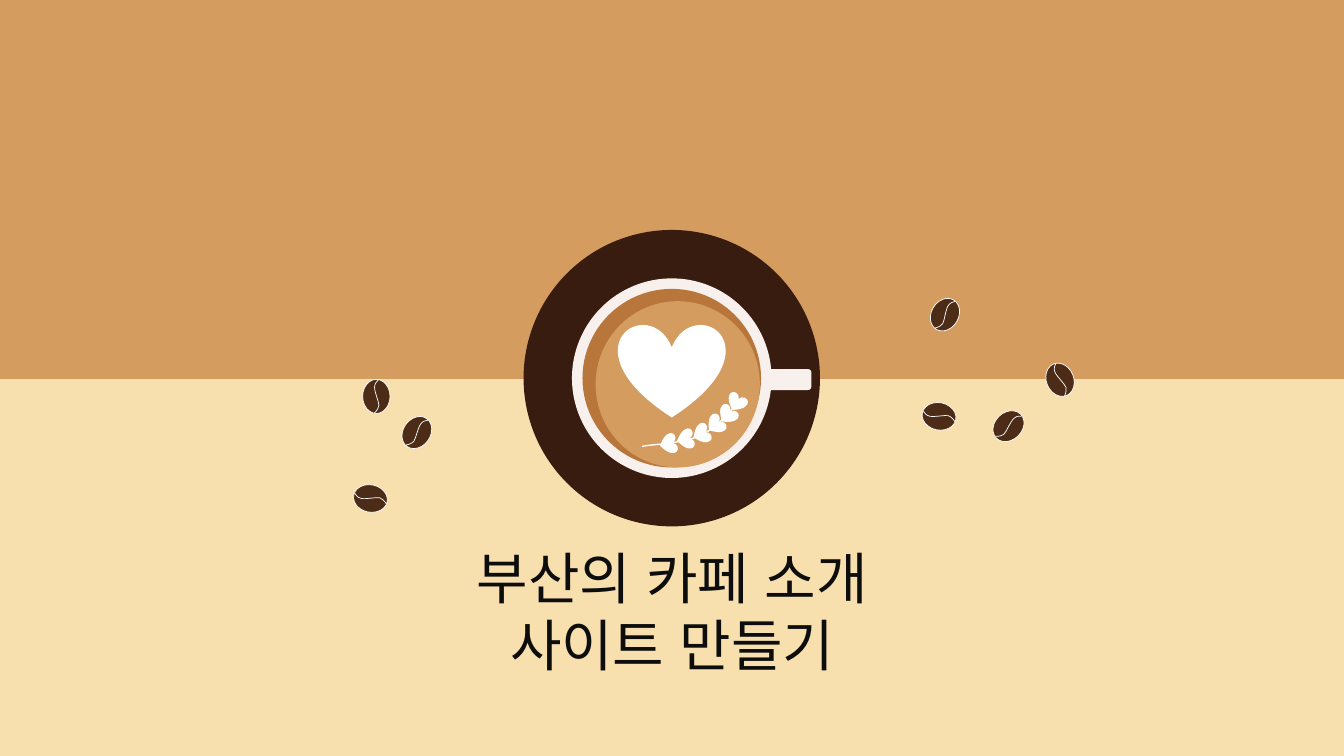
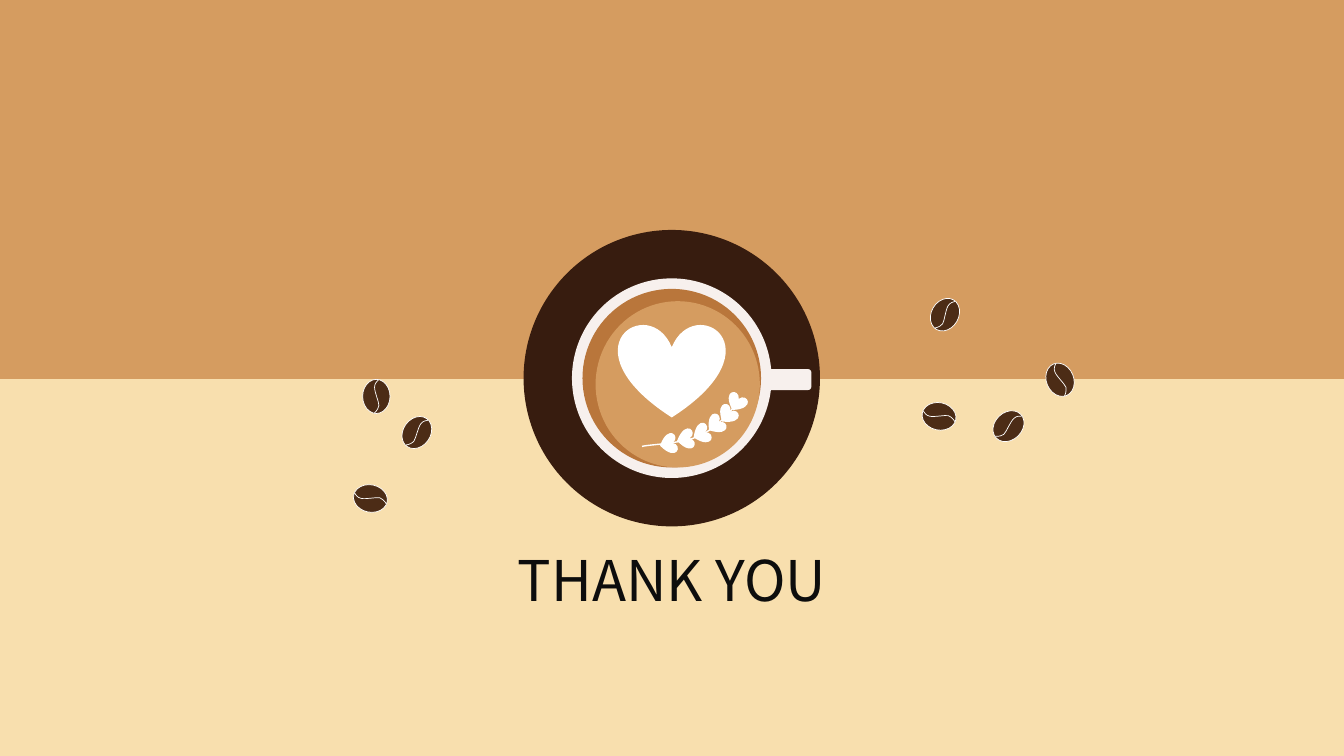
from typing import NamedTuple

from lxml import etree
from pptx import Presentation
from pptx import util as u
from pptx.dml.color import RGBColor
from pptx.enum import shapes, text
from pptx.oxml.ns import qn

# Colours
CREAM, CARAMEL, SAUCER, PORCELAIN = "F8DFAE", "D59C60", "371C0F", "F7F0ED"
CREMA, ROAST, WHITE, INK = "B9763B", "4C2C16", "FFFFFF", "0D0D0D"

PAGE_W, PAGE_H, TABLE_EDGE = 33.87, 19.05, 9.55
CUP_X, CUP_Y = 16.93, 9.53

Point = tuple[float, float]


class Box(NamedTuple):
    """Left, top, width and height in centimetres."""
    left: float
    top: float
    width: float
    height: float


class Placed(NamedTuple):
    """Left and top in centimetres, and clockwise turn in degrees."""
    left: float
    top: float
    turn: float


class Title(NamedTuple):
    lines: list[str]
    box: Box
    font: str


BEAN_W, BEAN_H = 0.69, 0.86
BEANS = [
    Placed(9.14, 9.56, 0),
    Placed(10.16, 10.47, 35.1),
    Placed(8.99, 12.13, 281.8),
    Placed(23.47, 7.5, 30.2),
    Placed(26.37, 9.14, 337.6),
    Placed(23.32, 10.06, 281.8),
    Placed(25.07, 10.31, 45.7),
]
# Bezier control points, relative to the top left of a bean
CREASE = [(0.41, 0), (0.36, 0.05), (0.3, 0.1), (0.3, 0.2), (0.3, 0.33),
          (0.41, 0.56), (0.41, 0.66), (0.38, 0.79), (0.3, 0.84), (0.28, 0.86)]

LEAF_W, LEAF_H = 0.51, 0.43
LEAVES = [
    Placed(18.08, 10.24, 39.2),
    Placed(17.78, 10.49, 50.6),
    Placed(17.42, 10.72, 65.8),
    Placed(17.02, 10.85, 79.3),
    Placed(16.59, 10.97, 77.3),
    Placed(18.31, 9.93, 29.6),
]
STEM = [(18.67, 10.06), (18.36, 10.41), (18.08, 10.77), (17.65, 10.97),
        (17.25, 11.18), (16.36, 11.2), (16.18, 11.25)]

TITLES = [
    Title(["부산의 카페 소개", "사이트 만들기"], Box(11.35, 13.56, 11.18, 3.68), "Arial"),
    Title(["THANK YOU"], Box(12.64, 13.61, 8.59, 1.96), "Noto Sans CJK KR"),
]


def rgb(colour: str) -> RGBColor:
    return RGBColor.from_string(colour)


def paint(shape, fill: str | None, line: str | None, weight: float, turn: float) -> None:
    shape.shadow.inherit = False
    if fill is None:
        shape.fill.background()
    else:
        shape.fill.solid()
        shape.fill.fore_color.rgb = rgb(fill)
    if line is None:
        shape.line.fill.background()
    else:
        shape.line.color.rgb = rgb(line)
        shape.line.width = u.Pt(weight)
    shape.rotation = turn


def add_preset(parent, kind: shapes.MSO_SHAPE, box: Box, fill: str, *,
               turn: float = 0, line: str | None = None, weight: float = 0.5):
    shape = parent.add_shape(kind, *map(u.Cm, box))
    paint(shape, fill, line, weight, turn)
    return shape


def add_curve(parent, controls: list[Point], *, weight: float,
              fill: str | None = None, turn: float = 0) -> None:
    """Draw an open chain of cubic curves, each starting where the last one ends."""
    start, *rest = [(u.Cm(x), u.Cm(y)) for x, y in controls]
    builder = parent.build_freeform(*start)
    builder.add_line_segments(rest, close=False)
    curve = builder.convert_to_shape()
    outline = next(curve.element.iter(qn("a:path")))
    segments = outline.findall(qn("a:lnTo"))
    for first in range(0, len(segments), 3):
        cubic = etree.SubElement(outline, qn("a:cubicBezTo"))
        for segment in segments[first:first + 3]:
            cubic.append(segment[0])
            outline.remove(segment)
    paint(curve, fill, WHITE, weight, turn)


def add_bean(slide, bean: Placed) -> None:
    group = slide.shapes.add_group_shape().shapes
    add_preset(group, shapes.MSO_SHAPE.OVAL, Box(bean.left, bean.top, BEAN_W, BEAN_H),
               ROAST, turn=bean.turn, line=WHITE)
    crease = [(bean.left + x, bean.top + y) for x, y in CREASE]
    add_curve(group, crease, weight=0.5, fill=ROAST, turn=bean.turn)


def add_cup(slide) -> None:
    group = slide.shapes.add_group_shape().shapes
    oval, heart = shapes.MSO_SHAPE.OVAL, shapes.MSO_SHAPE.HEART
    for diameter, colour in ((7.47, SAUCER), (5.03, PORCELAIN), (4.5, CREMA)):
        ring = Box(CUP_X - diameter / 2, CUP_Y - diameter / 2, diameter, diameter)
        add_preset(group, oval, ring, colour)
    add_preset(group, oval, Box(15.01, 7.59, 4.14, 4.19), CARAMEL)
    add_preset(group, heart, Box(15.58, 8.16, 2.7, 2.36), WHITE)
    for leaf in LEAVES:
        add_preset(group, heart, Box(leaf.left, leaf.top, LEAF_W, LEAF_H), WHITE,
                   turn=leaf.turn)
    add_curve(group, STEM, weight=1)
    add_preset(group, shapes.MSO_SHAPE.ROUNDED_RECTANGLE,
               Box(19.28, 9.3, 1.17, 0.53), PORCELAIN)


def add_text(slide, lines: list[str], box: Box, *, font: str, size: float = 40,
             colour: str = INK, align=text.PP_ALIGN.CENTER) -> None:
    frame = slide.shapes.add_textbox(*map(u.Cm, box)).text_frame
    frame.word_wrap = False
    frame.auto_size = text.MSO_AUTO_SIZE.SHAPE_TO_FIT_TEXT
    for index, line in enumerate(lines):
        paragraph = frame.add_paragraph() if index else frame.paragraphs[0]
        paragraph.alignment = align
        run = paragraph.add_run()
        run.text = line
        run.font.name = font
        run.font.size = u.Pt(size)
        run.font.color.rgb = rgb(colour)
        etree.SubElement(run._r.get_or_add_rPr(), qn("a:ea"), typeface=font)


def add_bands(layout, slide) -> None:
    """Draw the two bands on a slide and move them to the shared layout."""
    for placeholder in list(layout.placeholders):
        layout.shapes.element.remove(placeholder.element)
    for height, colour in ((PAGE_H, CREAM), (TABLE_EDGE, CARAMEL)):
        band = add_preset(slide.shapes, shapes.MSO_SHAPE.RECTANGLE,
                          Box(0, 0, PAGE_W, height), colour)
        band.element.nvSpPr.cNvPr.set("id", str(len(layout.shapes) + 2))
        layout.shapes.element.append(band.element)


def main() -> None:
    deck = Presentation()
    deck.slide_width, deck.slide_height = u.Cm(PAGE_W), u.Cm(PAGE_H)
    blank = deck.slide_layouts[6]
    for number, title in enumerate(TITLES):
        slide = deck.slides.add_slide(blank)
        if number == 0:
            add_bands(blank, slide)
        add_bean(slide, BEANS[0])
        add_cup(slide)
        for bean in BEANS[1:]:
            add_bean(slide, bean)
        add_text(slide, title.lines, title.box, font=title.font)
    deck.save("out.pptx")


if __name__ == "__main__":
    main()
